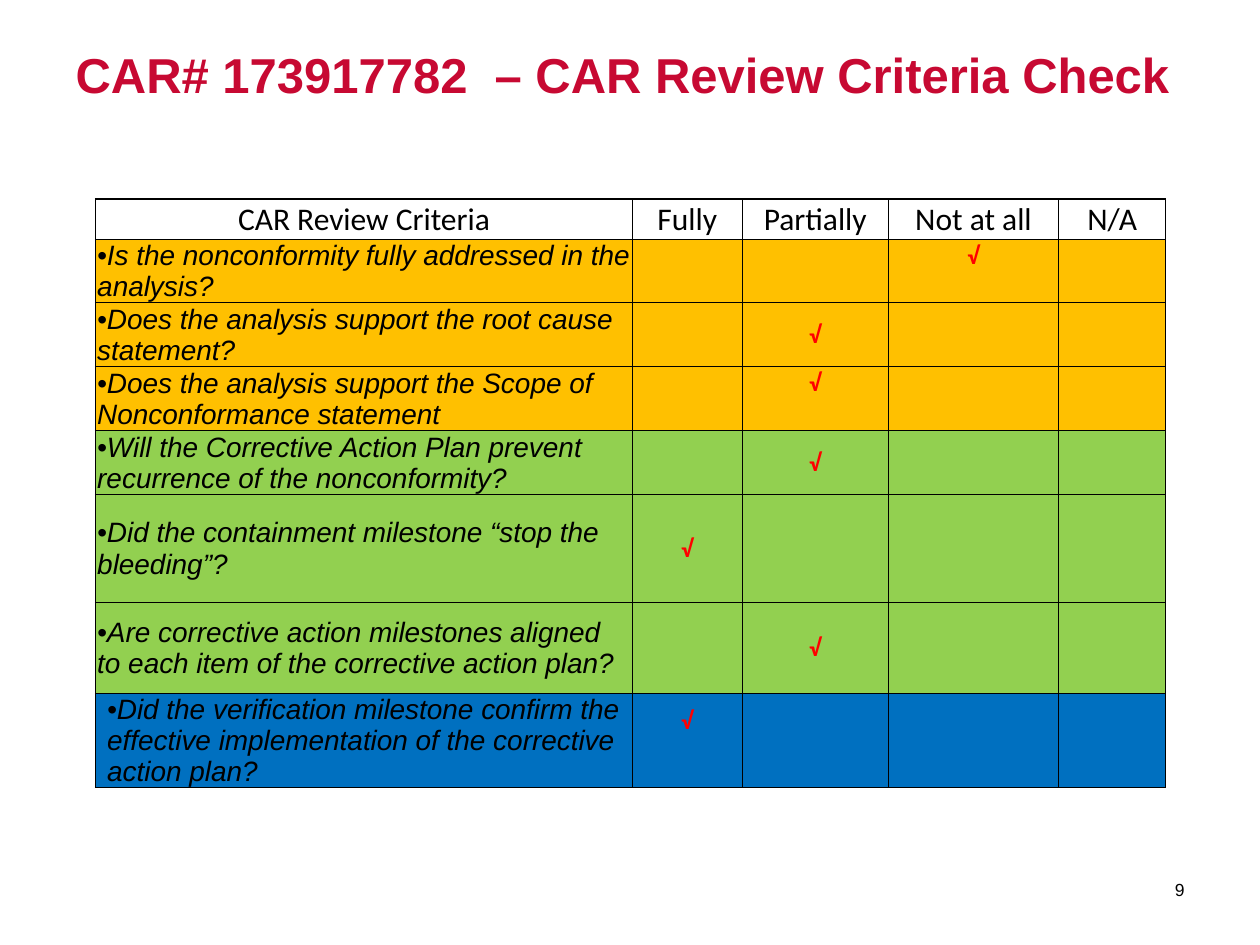
from lxml import etree
from pptx import Presentation
from pptx.dml.color import RGBColor
from pptx.enum import text
from pptx.oxml import ns
from pptx.util import Cm, Pt

TITLE = "CAR# 173917782  – CAR Review Criteria Check"
PAGE = "9"
COLORS = {"title": "C70932", "text": "000000", "check": "FF0000",
          "analysis": "FFC000", "action": "92D050", "verify": "0070C0"}
HEADERS = ["CAR Review Criteria", "Fully", "Partially", "Not at all", "N/A"]
COL_WIDTHS = [10.82, 2.21, 2.95, 3.43, 2.16]
HEADER_HEIGHT = 0.81
MARGIN = 0.03
# criterion, rating, fill, row height, left margin, bottom margin of the check
CRITERIA = [
    ("Is the nonconformity fully addressed in the analysis?",
     "Not at all", "analysis", 1.28, MARGIN, 0.65),
    ("Does the analysis support the root cause statement?",
     "Partially", "analysis", 1.28, MARGIN, 0),
    ("Does the analysis support the Scope of Nonconformance statement",
     "Partially", "analysis", 1.28, MARGIN, 0.65),
    ("Will the Corrective Action Plan prevent recurrence of the nonconformity?",
     "Partially", "action", 1.28, MARGIN, 0),
    ("Did the containment milestone “stop the bleeding”?",
     "Fully", "action", 2.18, MARGIN, 0),
    ("Are corrective action milestones aligned to each item of the corrective action plan?",
     "Partially", "action", 1.83, MARGIN, 0),
    ("Did the verification milestone confirm the effective implementation of the corrective action plan?",
     "Fully", "verify", 1.91, 0.23, 0.81),
]


def write(tf, words, size, name, color, align, bold=False, italic=False):
    """Fill the first paragraph of a text frame and format it."""
    p = tf.paragraphs[0]
    p.text = words
    p.alignment = align
    font = p.font
    font.size, font.name, font.bold, font.italic = Pt(size), name, bold, italic
    font.color.rgb = RGBColor.from_string(COLORS[color])


def style_cell(cell, edges, fill, left=MARGIN, bottom=0):
    """Set a cell's margins, borders and fill."""
    cell.margin_left, cell.margin_bottom = Cm(left), Cm(bottom)
    cell.margin_top = cell.margin_right = Cm(MARGIN)
    tc_pr = cell._tc.get_or_add_tcPr()
    for side in "LRTB":
        width = Pt(1) if side in edges else Pt(0.5)
        ln = etree.SubElement(tc_pr, ns.qn(f"a:ln{side}"), w=str(int(width)))
        solid = etree.SubElement(ln, ns.qn("a:solidFill"))
        etree.SubElement(solid, ns.qn("a:srgbClr"), val=COLORS["text"])
    if fill:
        cell.fill.solid()
        cell.fill.fore_color.rgb = RGBColor.from_string(COLORS[fill])
    else:
        cell.fill.background()


def add_criteria_table(s):
    """Add the table of criteria with one check mark per row."""
    heights = [HEADER_HEIGHT] + [row[3] for row in CRITERIA]
    frame = s.shapes.add_table(len(heights), len(HEADERS), Cm(1.93), Cm(4.01),
                               Cm(sum(COL_WIDTHS)), Cm(sum(heights)))
    table = frame.table
    table.first_row = table.horz_banding = False
    for col, width in zip(table.columns, COL_WIDTHS):
        col.width = Cm(width)
    for row, height in zip(table.rows, heights):
        row.height = Cm(height)
    center, left_align = text.PP_ALIGN.CENTER, text.PP_ALIGN.LEFT
    for c, header in enumerate(HEADERS):
        sides = {0: "L", len(HEADERS) - 1: "R"}.get(c, "")
        cell = table.cell(0, c)
        style_cell(cell, sides + "T", None)
        cell.vertical_anchor = text.MSO_ANCHOR.BOTTOM
        write(cell.text_frame, header, 18, "Calibri", "text", center)
        for r, (question, rating, fill, _, left, lift) in enumerate(CRITERIA, 1):
            cell = table.cell(r, c)
            cell.vertical_anchor = text.MSO_ANCHOR.MIDDLE
            checked = header == rating
            style_cell(cell, sides, fill, MARGIN if c else left, lift if checked else 0)
            if c == 0:
                write(cell.text_frame, "•" + question, 16, "Arial", "text",
                      left_align, italic=True)
            elif checked:
                write(cell.text_frame, "√", 14, "Calibri", "check", center, bold=True)


def main():
    """Build the slide and save it."""
    prs = Presentation()
    prs.slide_width, prs.slide_height = Cm(25.4), Cm(19.05)
    s = prs.slides.add_slide(prs.slide_layouts[5])

    title = s.shapes.title
    title.left, title.top, title.width, title.height = Cm(1.27), Cm(0.76), Cm(22.86), Cm(3.18)
    tf = title.text_frame
    tf.auto_size = text.MSO_AUTO_SIZE.NONE
    tf.vertical_anchor = text.MSO_ANCHOR.TOP
    write(tf, TITLE, 28, "Arial", "title", text.PP_ALIGN.LEFT, bold=True)

    add_criteria_table(s)

    tf = s.shapes.add_textbox(Cm(22.35), Cm(17.42), Cm(1.78), Cm(1.02)).text_frame
    tf.word_wrap = True
    tf.vertical_anchor = text.MSO_ANCHOR.MIDDLE
    write(tf, PAGE, 10, "Arial", "text", text.PP_ALIGN.RIGHT)

    prs.save("out.pptx")


if __name__ == "__main__":
    main()
